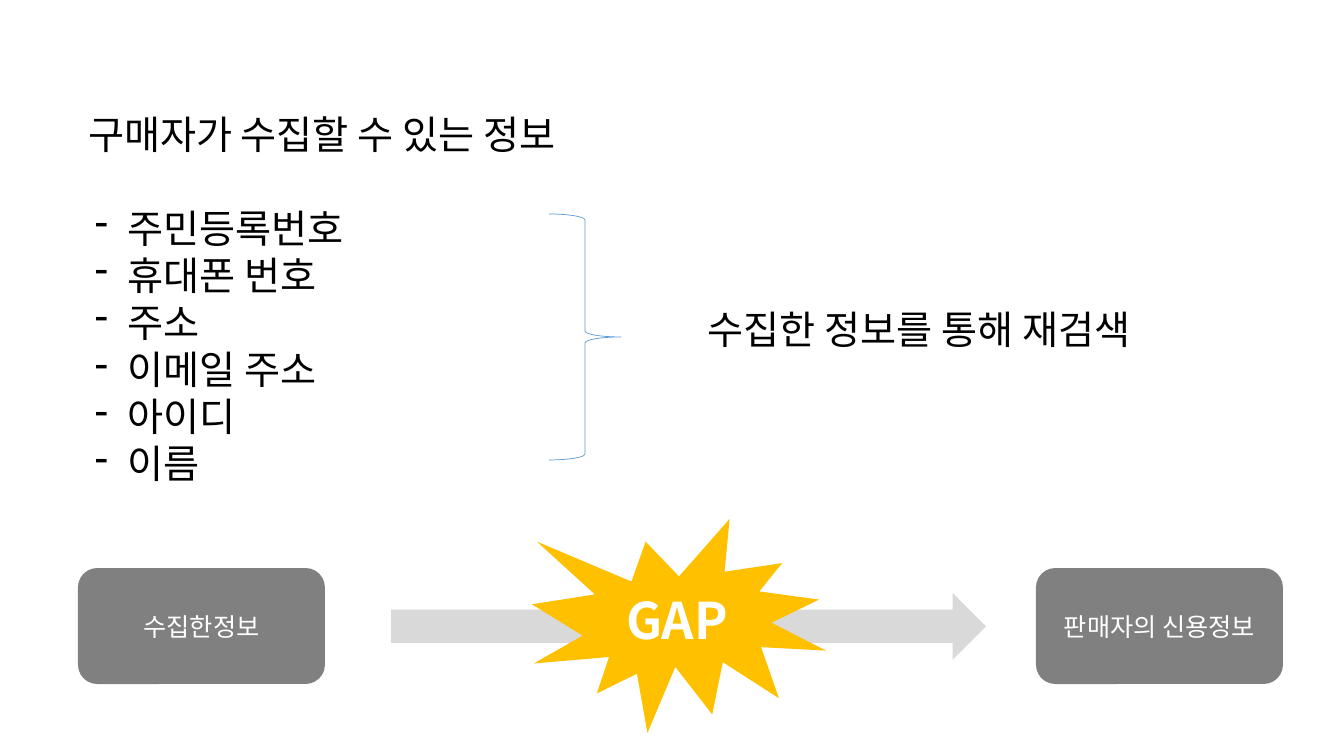
from lxml import etree
from pptx import Presentation
from pptx.dml.color import RGBColor
from pptx.enum.shapes import MSO_SHAPE as SHAPE
from pptx.enum.text import MSO_ANCHOR as ANCHOR, MSO_AUTO_SIZE as AUTO, PP_ALIGN as ALIGN
from pptx.oxml.ns import qn
from pptx.util import Emu, Pt

COLORS = {"text": "000000", "light": "FFFFFF", "brace": "5B9BD5",
          "arrow": "D9D9D9", "box": "808080", "burst": "FFC000"}
FONT = "Noto Sans CJK KR"
ITEMS = ["주민등록번호", "휴대폰 번호", "주소", "이메일 주소", "아이디", "이름"]


def px(n):
    """Turn px into EMU, 1344 px to the slide width."""
    return Emu(round(n * 12192000 / 1344))


def rgb(name):
    """Look up a named colour."""
    return RGBColor.from_string(COLORS[name])


def style(p, size, color, align=ALIGN.LEFT, bold=False):
    """Format one paragraph, its East Asian font included."""
    p.alignment = align
    p.line_spacing = 1.0
    p.space_before = p.space_after = Pt(0)
    f = p.font
    f.size, f.bold, f.name = Pt(size), bold, FONT
    f.color.rgb = rgb(color)
    etree.SubElement(f._rPr, qn("a:ea"), typeface=FONT)


def add_dash(p, margin, hang):
    """Give a paragraph a hanging dash bullet."""
    pPr = p._p.get_or_add_pPr()
    pPr.set("marL", str(px(margin)))
    pPr.set("indent", str(-px(hang)))
    bullet = etree.Element(qn("a:buChar"), char="-")
    pPr.find(qn("a:defRPr")).addprevious(bullet)


def place(shape, x, y, w, h):
    """Move a shape to a box."""
    shape.left, shape.top, shape.width, shape.height = map(px, (x, y, w, h))


def add_lines(s, box, lines, align=ALIGN.LEFT, dashed=False):
    """Add a text box with one paragraph for each line."""
    tf = s.shapes.add_textbox(*map(px, box)).text_frame
    tf.word_wrap = True
    for i, line in enumerate(lines):
        p = tf.add_paragraph() if i else tf.paragraphs[0]
        p.text = line
        style(p, 28, "text", align)
        if dashed:
            add_dash(p, 40, 33)


def add_block(s, kind, box, fill, text="", size=18, bold=False):
    """Add a filled preset shape with centred text."""
    sp = s.shapes.add_shape(kind, *map(px, box))
    sp.shadow.inherit = False
    sp.fill.solid()
    sp.fill.fore_color.rgb = rgb(fill)
    sp.line.fill.background()
    if text:
        tf = sp.text_frame
        tf.word_wrap = True
        tf.vertical_anchor = ANCHOR.MIDDLE
        tf.text = text
        style(tf.paragraphs[0], size, "light", ALIGN.CENTER, bold)


def add_title(s, box):
    """Place and format the heading."""
    title = s.shapes.title
    place(title, *box)
    tf = title.text_frame
    tf.text = "구매자가 수집할 수 있는 정보"
    tf.word_wrap = True
    tf.auto_size = AUTO.NONE
    tf.vertical_anchor = ANCHOR.TOP
    style(tf.paragraphs[0], 28, "text")


def add_collection(s, x, y, w, h):
    """Add the dashed list, the brace and what it leads to."""
    add_lines(s, (x, y, 460, h), ITEMS, dashed=True)
    sp = s.shapes.add_shape(SHAPE.RIGHT_BRACE, *map(px, (x + 471, y + 15, 72, 246)))
    sp.shadow.inherit = False
    sp.fill.background()
    sp.line.color.rgb = rgb("brace")
    sp.line.width = Pt(0.5)
    add_lines(s, (x + w - 498, y + 101, 498, 57), ["수집한 정보를 통해 재검색"], ALIGN.CENTER)


def add_gap(s, x, y, w, h):
    """Add the two end boxes, the arrow between them and the burst."""
    box_w, box_h = 247, 116
    mid = y + h // 2
    add_block(s, SHAPE.RIGHT_ARROW, (x + 313, mid - 33, 595, 67), "arrow")
    for left, text in ((x, "수집한정보"), (x + w - box_w, "판매자의 신용정보")):
        add_block(s, SHAPE.ROUNDED_RECTANGLE, (left, mid - box_h // 2, box_w, box_h), "box", text)
    add_block(s, SHAPE.EXPLOSION1, (x + 454, y, 294, h), "burst", "GAP", 36, True)


def main():
    """Build and save the slide."""
    prs = Presentation()
    prs.slide_width, prs.slide_height = px(1344), px(756)
    s = prs.slides.add_slide(prs.slide_layouts[5])
    add_title(s, (78, 105, 551, 57))
    add_collection(s, 78, 199, 1090, 293)
    add_gap(s, 78, 519, 1205, 214)
    prs.save("out.pptx")


if __name__ == "__main__":
    main()
